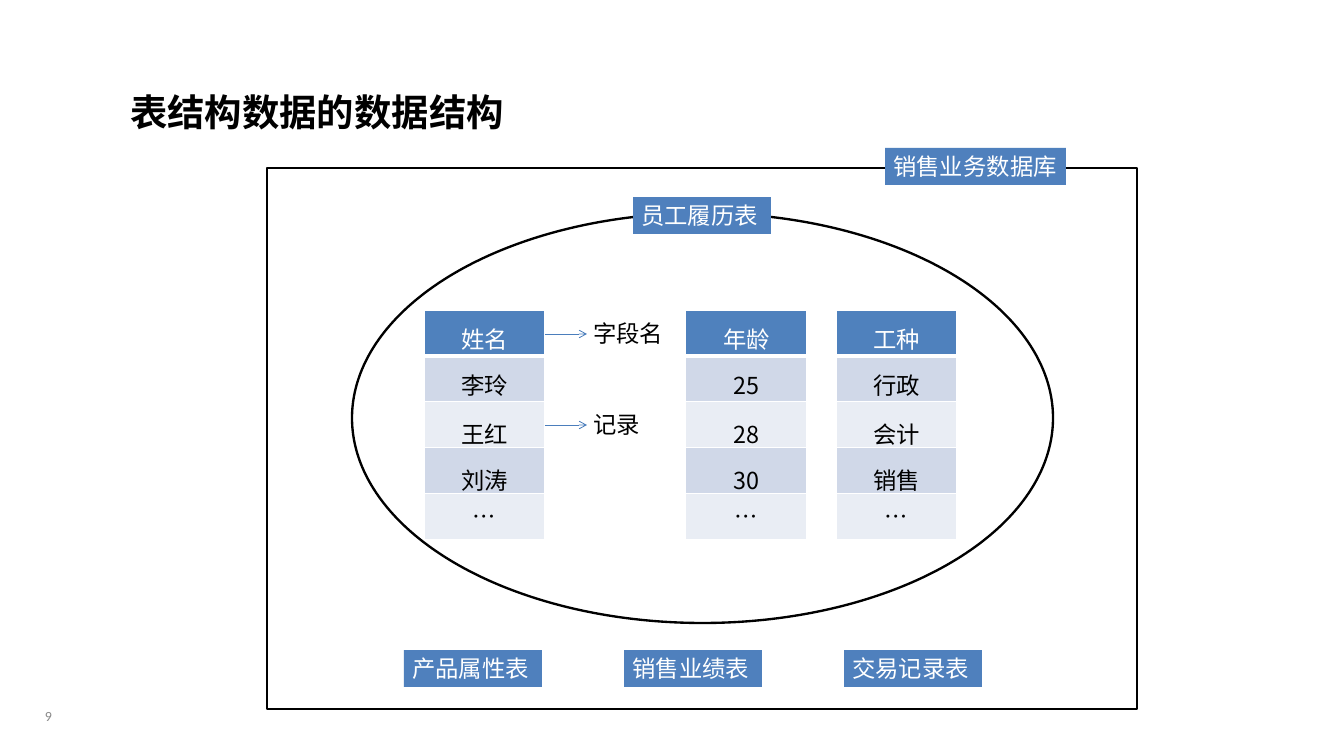
from lxml import etree
from pptx import Presentation
from pptx.dml.color import RGBColor
from pptx.enum.shapes import MSO_CONNECTOR, MSO_SHAPE
from pptx.enum.text import MSO_ANCHOR, PP_ALIGN
from pptx.oxml.ns import qn
from pptx.util import Pt

RECT, OVAL = MSO_SHAPE.RECTANGLE, MSO_SHAPE.OVAL
STRAIGHT = MSO_CONNECTOR.STRAIGHT
LEFT, CENTER = PP_ALIGN.LEFT, PP_ALIGN.CENTER
TOP, MIDDLE = MSO_ANCHOR.TOP, MSO_ANCHOR.MIDDLE

CJK = "Noto Sans CJK SC"
COLORS = {"black": "000000", "white": "FFFFFF", "gray": "898989", "label": "4F80BD",
          "head": "4F81BD", "band1": "D0D8E8", "band2": "E9EDF4", "arrow": "4B7EBC"}

TEXTS = [
    ("9", (17, 696, 63, 40), dict(size=12, font="Calibri", color="gray",
                                  align=CENTER, anchor=MIDDLE)),
    ("表结构数据的数据结构", (122, 85, 490, 54), dict(size=32, bold=True)),
]
COLUMNS = [
    (424, ["姓名", "李玲", "王红", "刘涛", "…"]),
    (686, ["年龄", "25", "28", "30", "…"]),
    (836, ["工种", "行政", "会计", "销售", "…"]),
]
TABLE_Y, COL_W, ROW_H = 310, 121, 46
ROW_FILLS = ["head", "band1", "band2", "band1", "band2"]
ROW_SPACING = [1.2, 1.2, 1.3, 1.3, 1.0]
NOTES = [("字段名", 334), ("记录", 425)]
NOTE_X, NOTE_W, ARROW_W, LABEL_H = 585, 98, 42, 37
OUTLINES = [(OVAL, (352, 213, 701, 410)), (RECT, (267, 168, 870, 541))]
LABELS = [
    ("员工履历表", 633, 197, 138),
    ("销售业务数据库", 885, 148, 181),
]
OTHER_TABLES = ["产品属性表", "销售业绩表", "交易记录表"]
OTHER_X, OTHER_Y, OTHER_STEP, OTHER_W = 404, 650, 220, 138
LABELS += [(t, OTHER_X + i * OTHER_STEP, OTHER_Y, OTHER_W)
           for i, t in enumerate(OTHER_TABLES)]


def px(n):
    return round(n * 914400 / 84)


def box(*lengths):
    return [px(n) for n in lengths]


def rgb(name):
    return RGBColor.from_string(COLORS[name])


def write(tf, text, size=20, font=CJK, color="black", bold=False,
          align=LEFT, anchor=TOP, spacing=None):
    tf.word_wrap = True
    tf.vertical_anchor = anchor
    p = tf.paragraphs[0]
    p.alignment = align
    p.line_spacing = spacing
    r = p.add_run()
    r.text = text
    f = r.font
    f.size, f.bold, f.name = Pt(size), bold, font
    f.color.rgb = rgb(color)
    etree.SubElement(r._r.get_or_add_rPr(), qn("a:ea"), typeface=font)


def add_text(text, place, **fmt):
    write(s.shapes.add_textbox(*box(*place)).text_frame, text, **fmt)


def add_borders(cell, widths):
    tc_pr = cell._tc.get_or_add_tcPr()
    for i, (side, width) in enumerate(widths.items()):
        ln = etree.Element(qn("a:ln" + side), w=str(Pt(width)))
        fill = etree.SubElement(ln, qn("a:solidFill"))
        etree.SubElement(fill, qn("a:srgbClr"), val=COLORS["white"])
        tc_pr.insert(i, ln)


def add_column(x, values):
    n = len(values)
    table = s.shapes.add_table(n, 1, *box(x, TABLE_Y, COL_W, n * ROW_H)).table
    table.horz_banding = False
    for i, text in enumerate(values):
        table.rows[i].height = px(ROW_H)
        cell = table.cell(i, 0)
        cell.fill.solid()
        cell.fill.fore_color.rgb = rgb(ROW_FILLS[i])
        write(cell.text_frame, text, color="black" if i else "white",
              align=CENTER, spacing=ROW_SPACING[i])
        add_borders(cell, {"L": 1, "R": 1, "T": 3 if i == 1 else 1,
                           "B": 1 if i else 3})


def add_arrow(x, y, width):
    c = s.shapes.add_connector(STRAIGHT, *box(x, y, x + width, y))
    c.line.color.rgb = rgb("arrow")
    c.line.width = Pt(0.75)
    etree.SubElement(c.line._get_or_add_ln(), qn("a:tailEnd"), type="arrow")
    etree.SubElement(c._element.spPr, qn("a:effectLst"))


def add_shape(kind, place, fill=None):
    sp = s.shapes.add_shape(kind, *box(*place))
    sp.shadow.inherit = False
    if fill:
        sp.fill.solid()
        sp.fill.fore_color.rgb = rgb(fill)
        sp.line.fill.background()
    else:
        sp.fill.background()
        sp.line.color.rgb = rgb("black")
        sp.line.width = Pt(2)
    return sp


prs = Presentation()
prs.slide_width, prs.slide_height = box(1344, 756)
s = prs.slides.add_slide(prs.slide_layouts[6])

for text, place, fmt in TEXTS:
    add_text(text, place, **fmt)
for x, values in COLUMNS:
    add_column(x, values)
for text, y in NOTES:
    add_arrow(COLUMNS[0][0] + COL_W, y, ARROW_W)
    add_text(text, (NOTE_X, y - LABEL_H / 2, NOTE_W, LABEL_H))
for kind, place in OUTLINES:
    add_shape(kind, place)
for text, x, y, width in LABELS:
    sp = add_shape(RECT, (x, y, width, LABEL_H), "label")
    write(sp.text_frame, text, color="white")

prs.save("out.pptx")
